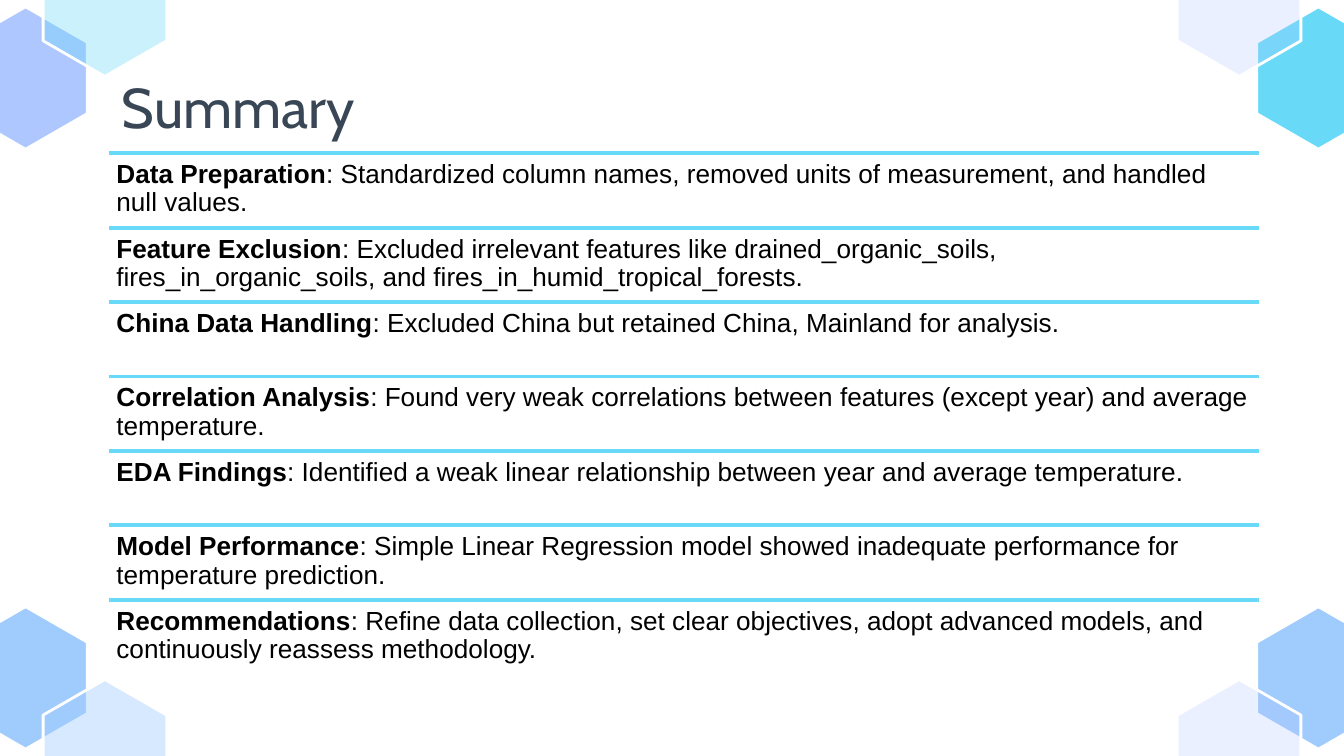
from lxml import etree
from pptx import Presentation
from pptx.dml.color import RGBColor
from pptx.enum.shapes import MSO_CONNECTOR
from pptx.enum.text import MSO_ANCHOR, PP_ALIGN
from pptx.oxml.ns import qn
from pptx.util import Pt

STRAIGHT = MSO_CONNECTOR.STRAIGHT
TOP, BOTTOM = MSO_ANCHOR.TOP, MSO_ANCHOR.BOTTOM
LEFT = PP_ALIGN.LEFT

# Content
TITLE = "Summary"
FINDINGS = [
    ("Data Preparation", "Standardized column names, removed units of measurement, and handled null values."),
    ("Feature Exclusion", "Excluded irrelevant features like drained_organic_soils, "
                          "fires_in_organic_soils, and fires_in_humid_tropical_forests."),
    ("China Data Handling", "Excluded China but retained China, Mainland for analysis."),
    ("Correlation Analysis", "Found very weak correlations between features (except year) and average temperature."),
    ("EDA Findings", "Identified a weak linear relationship between year and average temperature."),
    ("Model Performance", "Simple Linear Regression model showed inadequate performance "
                          "for temperature prediction."),
    ("Recommendations", "Refine data collection, set clear objectives, adopt advanced models, "
                        "and continuously reassess methodology."),
]
COLORS = {"title": "384655", "text": "000000", "outline": "FFFFFF",
          "cyan": "68DAF8", "sky": "9FCBFD", "lavender": "AFC7FF"}

# Corner: right side?, bottom?, outer colour, inner colour, inner opacity in %
CORNERS = [
    (False, True, "sky", "sky", 41),
    (True, True, "sky", "lavender", 25),
    (False, False, "lavender", "cyan", 34),
    (True, False, "cyan", "lavender", 25),
]

# Layout, in points
SLIDE_W, SLIDE_H = 720, 405
HEX_HALF_W, HEX_HALF_H, HEX_SIDE = 33.1, 38.15, 19.1
OUTER_CENTRE, INNER_CENTRE = (13.7, 41.8), (56.2, 2.8)
LIST_X, LIST_Y, LIST_W, ROW_H = 58.2, 82.1, 616.2, 39.87

prs = Presentation()
prs.slide_width, prs.slide_height = Pt(SLIDE_W), Pt(SLIDE_H)
slide = prs.slides.add_slide(prs.slide_layouts[6])
shapes = slide.shapes


def color(name):
    return RGBColor.from_string(COLORS[name])


def add_hexagon(centre, right, bottom, fill, opacity=100):
    x = SLIDE_W - centre[0] if right else centre[0]
    y = SLIDE_H - centre[1] if bottom else centre[1]
    corners = [(0, -HEX_HALF_H), (-HEX_HALF_W, -HEX_SIDE), (-HEX_HALF_W, HEX_SIDE),
               (0, HEX_HALF_H), (HEX_HALF_W, HEX_SIDE), (HEX_HALF_W, -HEX_SIDE)]
    points = [(Pt(x + dx), Pt(y + dy)) for dx, dy in corners]
    builder = shapes.build_freeform(*points[0])
    builder.add_line_segments(points[1:], close=True)
    hexagon = builder.convert_to_shape()
    hexagon.shadow.inherit = False
    hexagon.fill.solid()
    hexagon.fill.fore_color.rgb = color(fill)
    hexagon.line.color.rgb = color("outline")
    hexagon.line.width = Pt(1.5)
    if opacity < 100:
        srgb = hexagon.fill._xPr.find(".//" + qn("a:srgbClr"))
        etree.SubElement(srgb, qn("a:alpha"), val=str(opacity * 1000))


def add_text(x, y, w, h, parts, font, size, ink, inset, anchor, spacing):
    """Add one paragraph made of (text, bold) parts."""
    frame = shapes.add_textbox(Pt(x), Pt(y), Pt(w), Pt(h)).text_frame
    frame.word_wrap = True
    frame.vertical_anchor = anchor
    frame.margin_left = frame.margin_right = Pt(inset)
    frame.margin_top = frame.margin_bottom = Pt(inset)
    paragraph = frame.paragraphs[0]
    paragraph.alignment = LEFT
    paragraph.line_spacing = spacing
    for text, bold in parts:
        run = paragraph.add_run()
        run.text = text
        run.font.name, run.font.size, run.font.bold = font, Pt(size), bold
        run.font.color.rgb = color(ink)


def add_divider(y):
    divider = shapes.add_connector(STRAIGHT, Pt(LIST_X), Pt(y), Pt(LIST_X + LIST_W), Pt(y))
    divider.line.color.rgb = color("cyan")
    divider.line.width = Pt(2)
    etree.SubElement(divider._element.spPr, qn("a:effectLst"))


# Corner hexagons
for right, bottom, outer, inner, opacity in CORNERS:
    add_hexagon(OUTER_CENTRE, right, bottom, outer)
    add_hexagon(INNER_CENTRE, right, bottom, inner, opacity)

# Title
add_text(LIST_X, 26.7, 499, 55.4, [(TITLE, False)], "Cabin", 30, "title", 7.2, BOTTOM, 1.15)

# Findings, each under a divider
for row, (topic, detail) in enumerate(FINDINGS):
    y = LIST_Y + row * ROW_H
    add_divider(y)
    add_text(LIST_X, y, LIST_W, ROW_H, [(topic, True), (": " + detail, False)],
             "Arial", 14, "text", 4.2, TOP, 0.9)

prs.save("out.pptx")
